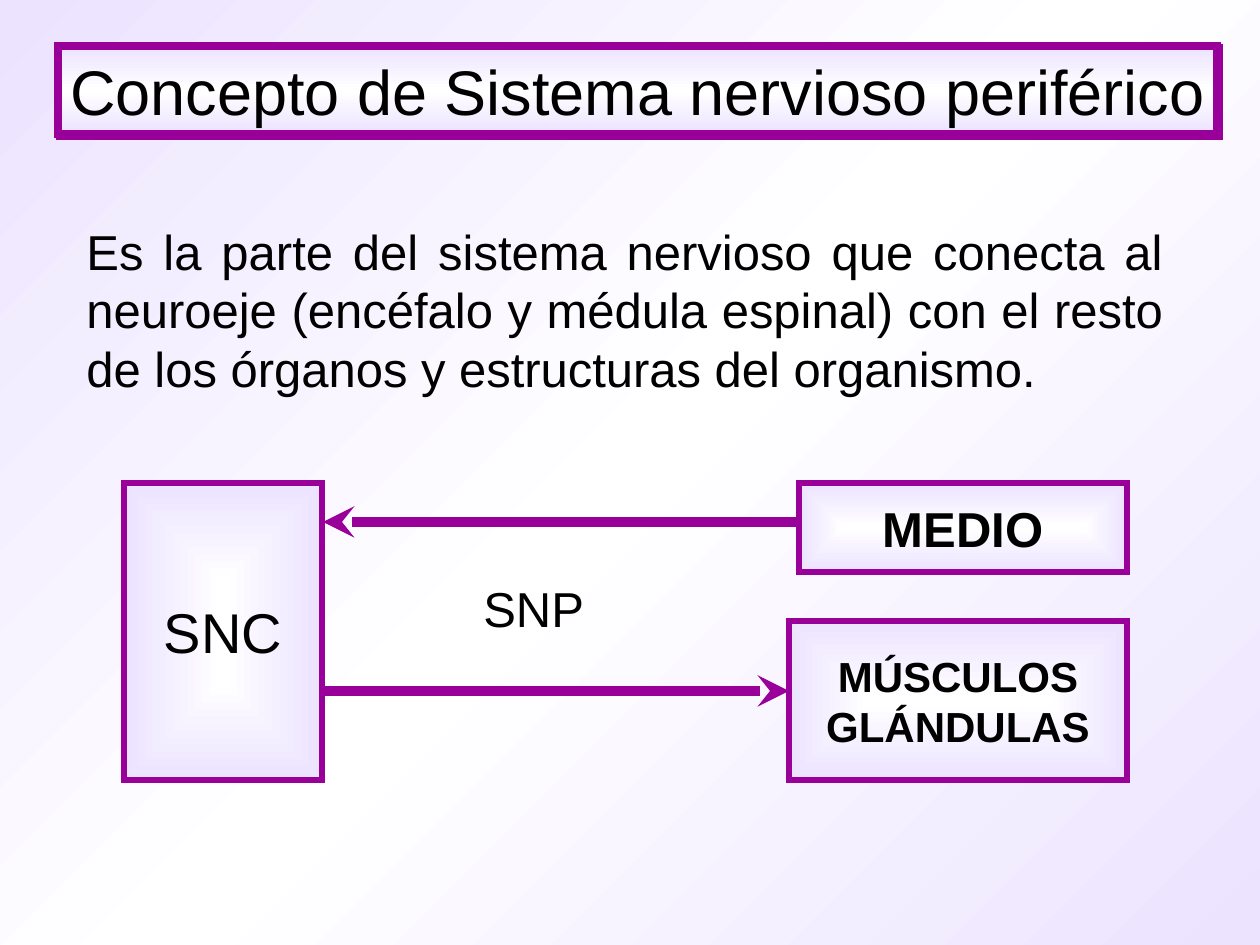
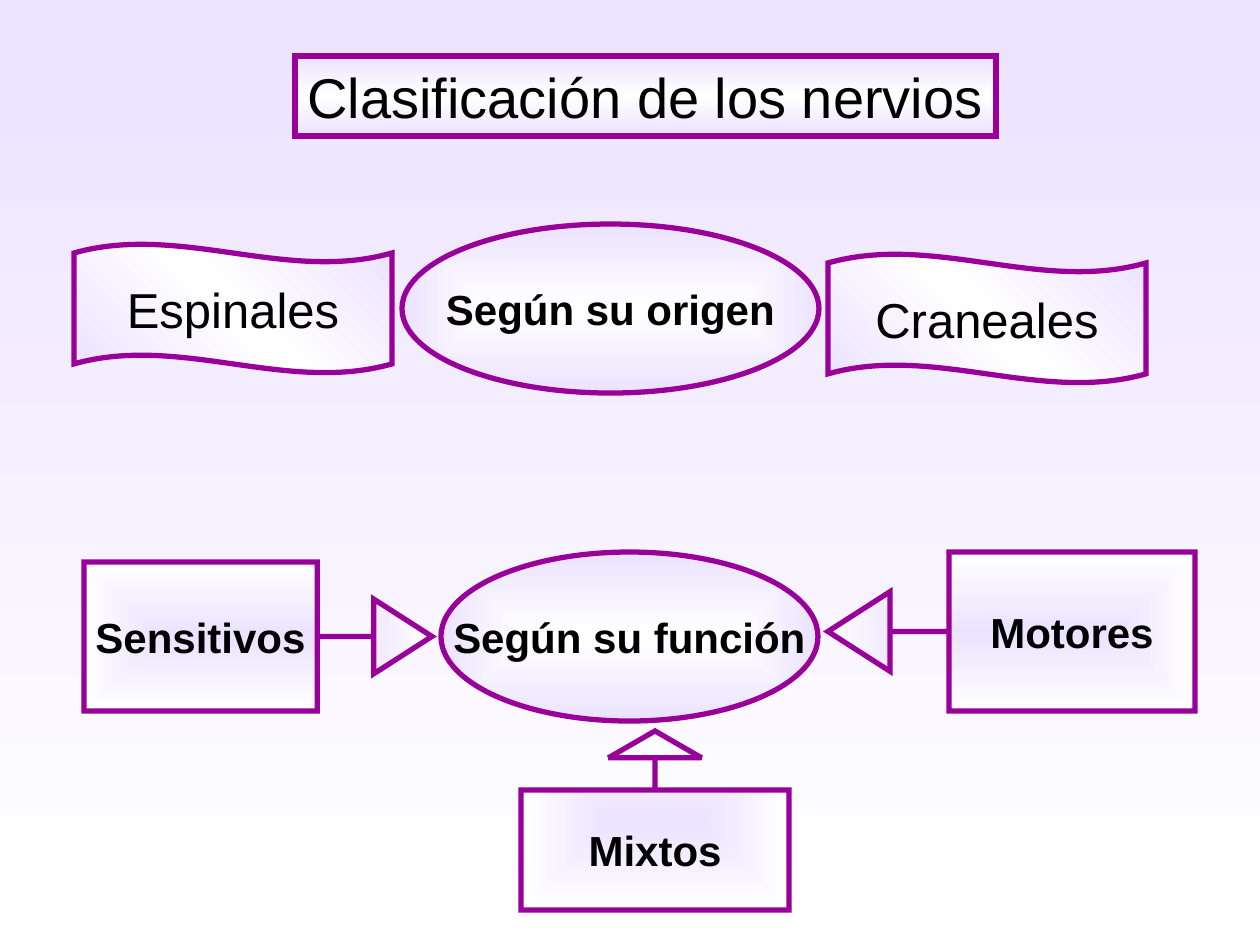
from dataclasses import dataclass

from lxml.etree import SubElement
from pptx import Presentation
from pptx.dml.color import RGBColor
from pptx.enum.shapes import MSO_CONNECTOR as Link, MSO_SHAPE as Preset
from pptx.enum.text import MSO_ANCHOR as Anchor, MSO_AUTO_SIZE as AutoSize, PP_ALIGN as Align
from pptx.oxml.ns import qn
from pptx.util import Emu, Pt


@dataclass(frozen=True)
class Theme:
    font: str = "Arial"
    ink: str = "000000"
    purple: str = "990099"
    lilac: str = "ECE3FF"
    white: str = "FFFFFF"
    title: int = 36
    large: int = 32
    body: int = 28
    label: int = 24
    outline: float = 3
    title_outline: float = 4.5
    arrow: float = 6


THEME = Theme()
LILAC_EDGES = (THEME.lilac, THEME.white, THEME.lilac)
LILAC_TO_WHITE = (THEME.lilac, THEME.white)
WHITE_TO_LILAC = (THEME.white, THEME.lilac)


def px(length):
    return Emu(round(length * 914400 / 126))


def add_node(parent, tag, **attributes):
    return SubElement(parent, qn(tag), {name: str(value) for name, value in attributes.items()})


def set_gradient(fill, element, colours, angle=None):
    fill.gradient()
    gradient = element.find(".//" + qn("a:gradFill"))
    for child in list(gradient):
        gradient.remove(child)
    stops = add_node(gradient, "a:gsLst")
    for index, colour in enumerate(colours):
        stop = add_node(stops, "a:gs", pos=100000 * index // (len(colours) - 1))
        add_node(stop, "a:srgbClr", val=colour)
    if angle is None:
        centre = add_node(gradient, "a:path", path="rect")
        add_node(centre, "a:fillToRect", l=50000, t=50000, r=50000, b=50000)
    else:
        add_node(gradient, "a:lin", ang=angle * 60000, scaled=0)


def add_page(deck, colours, angle):
    page = deck.slides.add_slide(deck.slide_layouts[6])
    set_gradient(page.background.fill, page._element, colours, angle)
    return page


def set_text(box, text, size, bold=False, align=Align.LEFT, anchor=Anchor.TOP, wrap=False):
    frame = box.text_frame
    frame.text = text
    frame.word_wrap = wrap
    frame.vertical_anchor = anchor
    for para in frame.paragraphs:
        para.alignment = align
        for span in para.runs:
            span.font.name = THEME.font
            span.font.size = Pt(size)
            span.font.bold = bold
            span.font.color.rgb = RGBColor.from_string(THEME.ink)


def set_line(shape, width):
    shape.line.color.rgb = RGBColor.from_string(THEME.purple)
    shape.line.width = Pt(width)
    outline = shape._element.spPr.find(qn("a:ln"))
    add_node(outline, "a:miter", lim=800000)
    return outline


def add_figure(page, preset, place, colours, angle=None, adjust=(), outline=THEME.outline):
    figure = page.shapes.add_shape(preset, *map(px, place))
    figure.shadow.inherit = False
    for index, value in enumerate(adjust):
        figure.adjustments[index] = value
    set_gradient(figure.fill, figure._element, colours, angle)
    set_line(figure, outline)
    return figure


def add_node_box(page, preset, place, text, size, bold=True, **look):
    box = add_figure(page, preset, place, **look)
    set_text(box, text, size, bold, Align.CENTER, Anchor.MIDDLE)


def add_title(page, place, text, size, outline=THEME.outline):
    title = add_figure(page, Preset.RECTANGLE, place, LILAC_EDGES, 90, outline=outline)
    set_text(title, text, size, align=Align.CENTER)
    title.text_frame.margin_left = title.text_frame.margin_right = 0
    title.text_frame.auto_size = AutoSize.NONE
    return title


def add_hard_shadow(box):
    effects = box._element.spPr.find(qn("a:effectLst"))
    shadow = add_node(effects, "a:outerShdw", blurRad=0, dist=Pt(1.4), dir=45 * 60000, algn="ctr", rotWithShape=0)
    add_node(shadow, "a:srgbClr", val=THEME.purple)


def add_text(page, place, text, align=Align.LEFT, wrap=False):
    box = page.shapes.add_textbox(*map(px, place))
    set_text(box, text, THEME.body, align=align, wrap=wrap)
    box.text_frame.auto_size = AutoSize.SHAPE_TO_FIT_TEXT


def add_arrow(page, start, end, height):
    arrow = page.shapes.add_connector(Link.STRAIGHT, px(start), px(height), px(end), px(height))
    add_node(set_line(arrow, THEME.arrow), "a:tailEnd", type="stealth")
    add_node(arrow._element.spPr, "a:effectLst")


def build_concept(deck):
    page = add_page(deck, LILAC_EDGES, 225)
    title = add_title(page, (58, 46, 1159, 88), "Concepto de Sistema nervioso periférico",
                      THEME.title, THEME.title_outline)
    add_hard_shadow(title)
    add_text(page, (74, 215, 1101, 189),
             "Es la parte del sistema nervioso que conecta al neuroeje (encéfalo y médula espinal) "
             "con el resto de los órganos y estructuras del organismo.", Align.JUSTIFY, True)
    for place, text, size, bold in (
        ((124, 483, 198, 297), "SNC", THEME.large, False),
        ((799, 483, 328, 89), "MEDIO", THEME.body, True),
        ((789, 621, 338, 159), "MÚSCULOS\nGLÁNDULAS", THEME.label, True),
    ):
        add_node_box(page, Preset.RECTANGLE, place, text, size, bold, colours=WHITE_TO_LILAC)
    add_arrow(page, 799, 323, 522)
    add_arrow(page, 323, 789, 691)
    add_text(page, (471, 572, 126, 72), "SNP")


def build_classification(deck):
    page = add_page(deck, LILAC_TO_WHITE, 90)
    add_title(page, (295, 56, 701, 80), "Clasificación de los nervios", THEME.large)
    for place, text in (
        ((402, 224, 417, 169), "Según su origen"),
        ((441, 552, 377, 169), "Según su función"),
    ):
        add_node_box(page, Preset.OVAL, place, text, THEME.label, colours=WHITE_TO_LILAC)
    for left, top, text in ((74, 244, "Espinales"), (828, 254, "Craneales")):
        add_node_box(page, Preset.WAVE, (left, top, 318, 129), text, THEME.body, False,
                     colours=LILAC_EDGES, angle=135, adjust=(0.07, 0))
    for preset, place, text, adjust in (
        (Preset.RIGHT_ARROW_CALLOUT, (84, 562, 348, 149), "Sensitivos", (0, 0.25, 0.39, 0.67)),
        (Preset.UP_ARROW_CALLOUT, (521, 731, 268, 179), "Mixtos", (0, 0.26, 0.15, 0.67)),
        (Preset.LEFT_ARROW_CALLOUT, (828, 552, 367, 159), "Motores", (0, 0.25, 0.39, 0.67)),
    ):
        add_node_box(page, preset, place, text, THEME.label, colours=LILAC_TO_WHITE, adjust=adjust)


def main():
    deck = Presentation()
    deck.slide_width, deck.slide_height = px(1260), px(945)
    build_concept(deck)
    build_classification(deck)
    deck.save("out.pptx")


if __name__ == "__main__":
    main()
